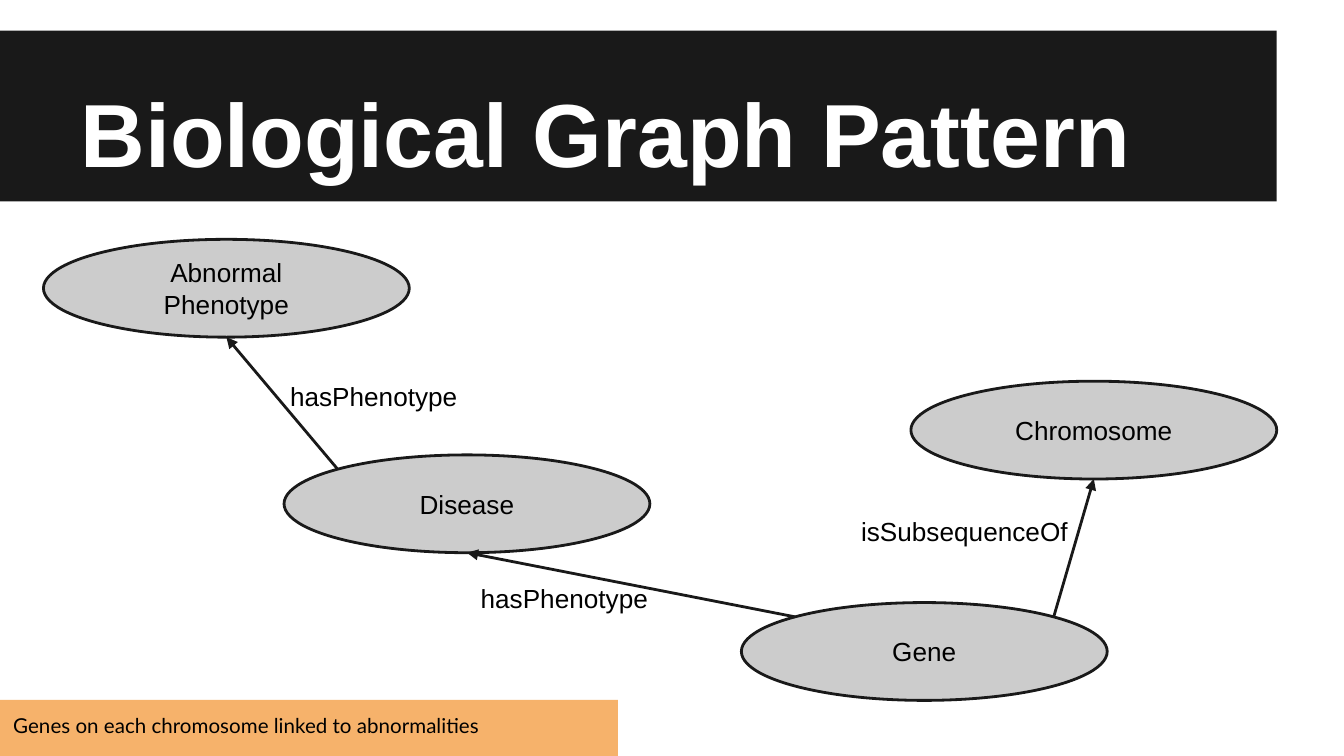
from math import sqrt

from lxml import etree
from pptx import Presentation
from pptx.dml.color import RGBColor
from pptx.enum.shapes import MSO_CONNECTOR, MSO_SHAPE
from pptx.enum.text import MSO_ANCHOR, MSO_AUTO_SIZE, PP_ALIGN
from pptx.oxml.ns import qn
from pptx.util import Pt

RECTANGLE, OVAL = MSO_SHAPE.RECTANGLE, MSO_SHAPE.OVAL
STRAIGHT = MSO_CONNECTOR.STRAIGHT
TOP, MIDDLE, BOTTOM = MSO_ANCHOR.TOP, MSO_ANCHOR.MIDDLE, MSO_ANCHOR.BOTTOM
LEFT, CENTER = PP_ALIGN.LEFT, PP_ALIGN.CENTER
NO_AUTOFIT = MSO_AUTO_SIZE.NONE

COLORS = {
    "ink": "191919",
    "node": "CCCCCC",
    "note": "F6B26B",
    "text": "000000",
    "title": "FFFFFF",
}
NODE_WIDTH, NODE_HEIGHT = 196, 52.4
DIAGONAL = (1 - 1 / sqrt(2)) / 2
INSET = 7.2
LINE_WIDTH = 1.5


def color(name):
    return RGBColor.from_string(COLORS[name])


class GraphSlide:
    def __init__(self, slide):
        self.slide = slide
        self.shapes = slide.shapes

    def set_text(self, shape, text, size=14, font="Arial", ink="text",
                 bold=False, anchor=TOP, align=LEFT):
        frame = shape.text_frame
        frame.text = text
        frame.word_wrap = True
        frame.auto_size = NO_AUTOFIT
        frame.vertical_anchor = anchor
        frame.margin_left = frame.margin_right = Pt(INSET)
        frame.margin_top = frame.margin_bottom = Pt(INSET)
        paragraph = frame.paragraphs[0]
        paragraph.alignment = align
        paragraph.line_spacing = 1
        paragraph.space_before = Pt(0)
        paragraph.font.size = Pt(size)
        paragraph.font.name = font
        paragraph.font.bold = bold
        paragraph.font.color.rgb = color(ink)

    def block(self, kind, left, top, width, height, fill):
        shape = self.shapes.add_shape(kind, Pt(left), Pt(top), Pt(width), Pt(height))
        shape.shadow.inherit = False
        shape.fill.solid()
        shape.fill.fore_color.rgb = color(fill)
        shape.line.fill.background()
        return shape

    def title(self, text):
        title = self.shapes.title
        title.left, title.top, title.width, title.height = Pt(36), Pt(16.5), Pt(648), Pt(90)
        self.set_text(title, text, size=48, ink="title", bold=True, anchor=BOTTOM)
        band = self.block(RECTANGLE, 0, 16.5, 684, 91.5, "ink")
        title.element.addprevious(band.element)

    def note(self, text):
        shape = self.block(RECTANGLE, 0, 375, 331, 30, "note")
        self.set_text(shape, text, size=11, font="Lato")

    def node(self, text, left, top):
        shape = self.block(OVAL, left, top, NODE_WIDTH, NODE_HEIGHT, "node")
        shape.line.color.rgb = color("ink")
        shape.line.width = Pt(LINE_WIDTH)
        self.set_text(shape, text, anchor=MIDDLE, align=CENTER)

    def arrow(self, start, end):
        connector = self.shapes.add_connector(STRAIGHT, *map(Pt, start + end))
        connector.line.color.rgb = color("ink")
        connector.line.width = Pt(LINE_WIDTH)
        properties = connector.element.spPr
        etree.SubElement(properties.find(qn("a:ln")), qn("a:tailEnd"), type="triangle")
        etree.SubElement(properties, qn("a:effectLst"))

    def label(self, text, left, top, width):
        box = self.shapes.add_textbox(Pt(left), Pt(top), Pt(width), Pt(30))
        self.set_text(box, text)


def oval_point(node, across, down):
    left, top = node
    return left + across * NODE_WIDTH, top + down * NODE_HEIGHT


def main():
    presentation = Presentation()
    presentation.slide_width, presentation.slide_height = Pt(720), Pt(405)
    graph = GraphSlide(presentation.slides.add_slide(presentation.slide_layouts[5]))

    graph.title("Biological Graph Pattern")
    graph.note("Genes on each chromosome linked to abnormalities")

    nodes = {
        "Abnormal Phenotype": (23.3, 128.2),
        "Disease": (152.2, 243.7),
        "Gene": (397.2, 322.8),
        "Chromosome": (488, 204.2),
    }
    for name, position in nodes.items():
        graph.node(name, *position)

    edges = [
        ("Disease", DIAGONAL, "Abnormal Phenotype"),
        ("Gene", DIAGONAL, "Disease"),
        ("Gene", 1 - DIAGONAL, "Chromosome"),
    ]
    for source, across, target in edges:
        graph.arrow(oval_point(nodes[source], across, DIAGONAL),
                    oval_point(nodes[target], 0.5, 1))

    labels = [
        ("hasPhenotype", 148.3, 196.6, 111),
        ("hasPhenotype", 250.4, 304.8, 111),
        ("isSubsequenceOf", 454.2, 268.8, 129),
    ]
    for label in labels:
        graph.label(*label)

    presentation.save("out.pptx")


if __name__ == "__main__":
    main()
